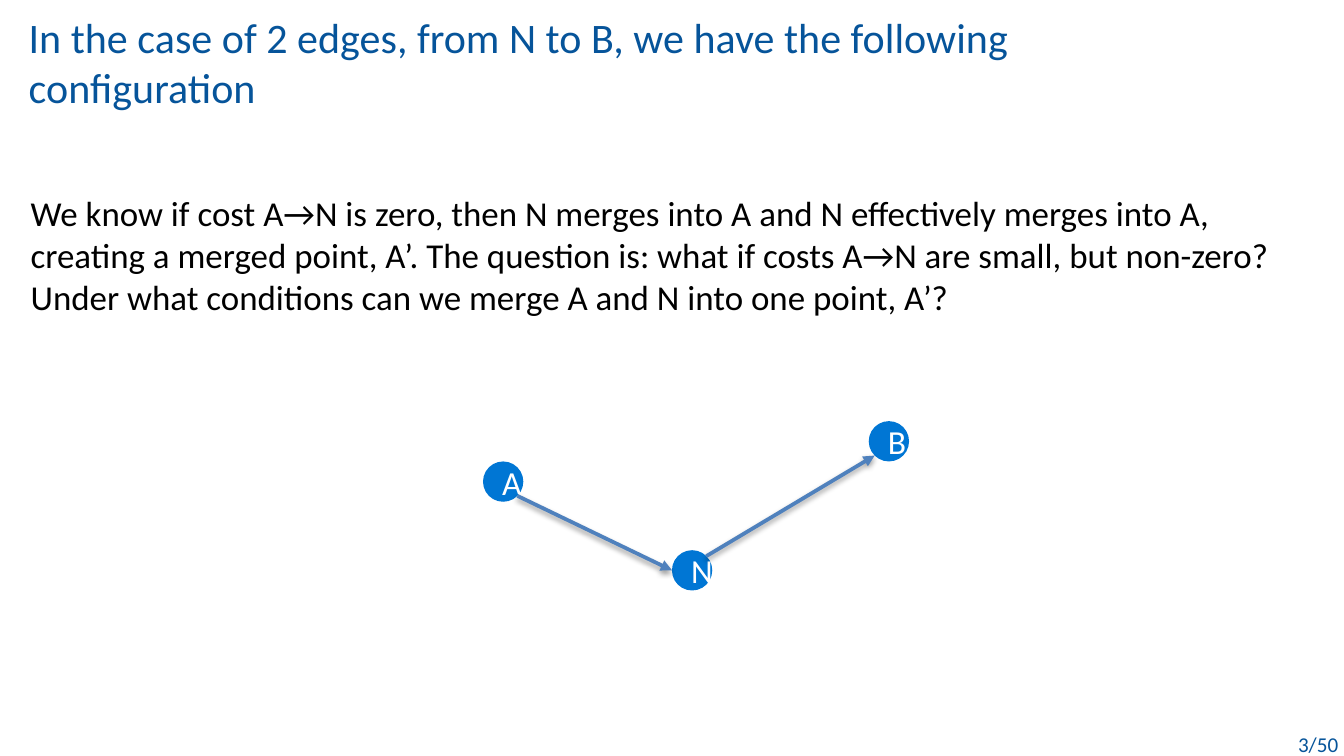
from lxml import etree
from pptx import Presentation
from pptx.dml.color import RGBColor
from pptx.enum.shapes import MSO_CONNECTOR, MSO_SHAPE
from pptx.enum.text import MSO_ANCHOR, PP_ALIGN
from pptx.oxml import parse_xml
from pptx.oxml.ns import nsdecls, qn
from pptx.util import Inches, Pt

OVAL = MSO_SHAPE.OVAL
STRAIGHT = MSO_CONNECTOR.STRAIGHT
MIDDLE = MSO_ANCHOR.MIDDLE
TOP = MSO_ANCHOR.TOP
LEFT = PP_ALIGN.LEFT
RIGHT = PP_ALIGN.RIGHT

NAVY = RGBColor(0x06, 0x54, 0x9A)
BLACK = RGBColor(0x00, 0x00, 0x00)
WHITE = RGBColor(0xFF, 0xFF, 0xFF)
NODE_BLUE = RGBColor(0x00, 0x76, 0xD4)
EDGE_BLUE = RGBColor(0x4F, 0x81, 0xBD)

EDGE_SHADOW = (
    f'<a:effectLst {nsdecls("a")}>'
    '<a:outerShdw blurRad="39370" dist="20320" dir="5400000" rotWithShape="0">'
    '<a:srgbClr val="000000"><a:alpha val="38000"/></a:srgbClr>'
    '</a:outerShdw></a:effectLst>'
)

prs = Presentation()
prs.slide_width = Inches(10)
prs.slide_height = prs.slide_width * 9 // 16
COL = prs.slide_width / 100
ROW = prs.slide_height / 56.25
slide = prs.slides.add_slide(prs.slide_layouts[6])


def grid(col, row):
    return round(col * COL), round(row * ROW)


def write(frame, words, size, color, align=LEFT, anchor=TOP):
    frame.word_wrap = True
    frame.vertical_anchor = anchor
    paragraph = frame.paragraphs[0]
    paragraph.alignment = align
    run = paragraph.add_run()
    run.text = words
    run.font.name = "Calibri"
    run.font.size = Pt(size)
    run.font.color.rgb = color


passages = [
    ("3/50", 92.05, 53.9, 8.5, 2.9, 11.25, NAVY, RIGHT),
    ("In the case of 2 edges, from N to B, we have the following configuration",
     1.15, 0.35, 82.2, 4.6, 22.5, NAVY, LEFT),
    ("We know if cost A→N is zero, then N merges into A and N effectively merges "
     "into A, creating a merged point, A’. The question is: what if costs A→N are "
     "small, but non-zero? Under what conditions can we merge A and N into one "
     "point, A’?",
     1.3, 13.8, 97.3, 38.4, 18.75, BLACK, LEFT),
]
for words, col, row, cols, rows, size, color, align in passages:
    passage = slide.shapes.add_textbox(*grid(col, row), *grid(cols, rows))
    write(passage.text_frame, words, size, color, align)

NODE_SIZE = 3
NEAR = 0.44
FAR = NODE_SIZE - NEAR
nodes = {"A": (35.94, 34.34), "N": (50, 40.94), "B": (64.64, 31.34)}
for label, corner in nodes.items():
    node = slide.shapes.add_shape(OVAL, *grid(*corner), *grid(NODE_SIZE, NODE_SIZE))
    node.shadow.inherit = False
    node.fill.solid()
    node.fill.fore_color.rgb = NODE_BLUE
    node.line.fill.background()
    write(node.text_frame, label, 18, WHITE, anchor=MIDDLE)

edges = [
    ("A", (FAR, FAR), "N", (0, NODE_SIZE / 2)),
    ("N", (FAR, NEAR), "B", (NEAR, FAR)),
]
for source, (exit_col, exit_row), target, (entry_col, entry_row) in edges:
    source_col, source_row = nodes[source]
    target_col, target_row = nodes[target]
    edge = slide.shapes.add_connector(
        STRAIGHT,
        *grid(source_col + exit_col, source_row + exit_row),
        *grid(target_col + entry_col, target_row + entry_row),
    )
    edge.line.color.rgb = EDGE_BLUE
    edge.line.width = Pt(2)
    etree.SubElement(edge.line._get_or_add_ln(), qn("a:tailEnd"), type="triangle")
    edge._element.spPr.append(parse_xml(EDGE_SHADOW))

prs.save("out.pptx")
